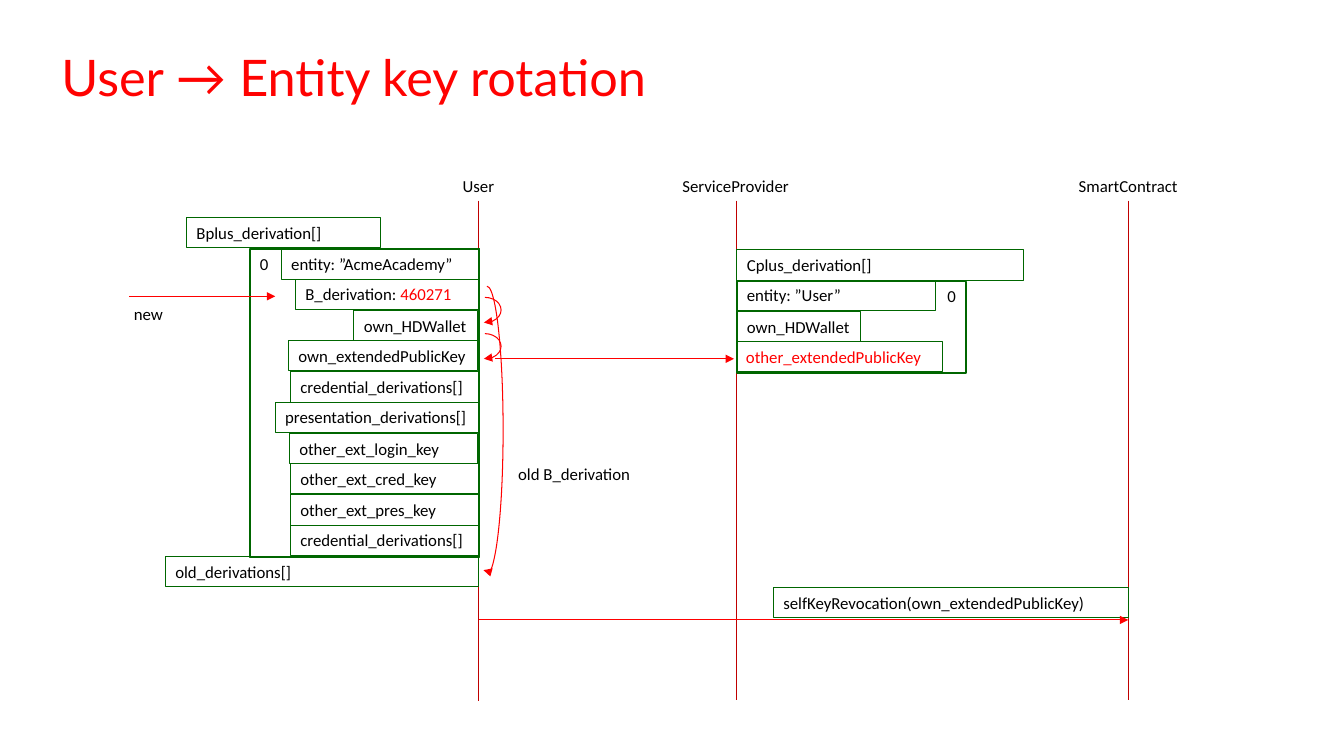
from dataclasses import dataclass

from pptx import Presentation
from pptx import util as u
from pptx.dml.color import RGBColor
from pptx.enum import shapes, text
from pptx.oxml.ns import qn
from lxml import etree


@dataclass(frozen=True)
class Theme:
    title: str = "FF0201"
    ink: str = "000000"
    accent: str = "FF0000"
    lifeline: str = "C00000"
    border: str = "006600"
    title_font: str = "Lato"
    body_font: str = "Calibri"
    title_size: int = 36
    body_size: int = 12
    thin: float = 0.75
    thick: float = 1


def apply(target, values):
    for name, value in values.items():
        setattr(target, name, value)


class Diagram:
    PX = 9144  # 100 px to the inch

    def __init__(self, presentation, theme):
        self.theme = theme
        apply(presentation, {"slide_width": self.emu(1333)[0],
                             "slide_height": self.emu(750)[0]})
        self.slide = presentation.slides.add_slide(presentation.slide_layouts[6])

    def emu(self, *lengths):
        return [u.Emu(length * self.PX) for length in lengths]

    def fill_text(self, shape, runs, wrap=True, grow=True, right=False,
                  font=None, size=None, margin=None):
        frame = shape.text_frame
        apply(frame, {
            "word_wrap": wrap,
            "vertical_anchor": text.MSO_ANCHOR.TOP,
            "auto_size": (text.MSO_AUTO_SIZE.SHAPE_TO_FIT_TEXT if grow
                          else text.MSO_AUTO_SIZE.NONE),
        })
        if margin is not None:
            apply(frame, {f"margin_{side}": margin
                          for side in ("left", "top", "right", "bottom")})
        paragraph = frame.paragraphs[0]
        paragraph.alignment = text.PP_ALIGN.RIGHT if right else text.PP_ALIGN.LEFT
        for words, color in runs:
            run = paragraph.add_run()
            run.text = words
            apply(run.font, {"name": font or self.theme.body_font,
                             "size": u.Pt(size or self.theme.body_size)})
            run.font.color.rgb = RGBColor.from_string(color)

    def stroke(self, shape, color, width, arrow=False):
        shape.line.color.rgb = RGBColor.from_string(color)
        shape.line.width = u.Pt(width)
        if arrow:
            etree.SubElement(shape.element.spPr.find(qn("a:ln")),
                             qn("a:tailEnd"), type="triangle")

    def outline(self, kind, left, top, width, height):
        shape = self.slide.shapes.add_shape(
            kind, *self.emu(left, top, width, height))
        shape.shadow.inherit = False
        shape.fill.background()
        return shape

    def title(self, words, left, top, width, height):
        shape = self.slide.shapes.add_textbox(*self.emu(left, top, width, height))
        self.fill_text(shape, [(words, self.theme.title)],
                       font=self.theme.title_font,
                       size=self.theme.title_size, margin=0)

    def label(self, words, left, top, width):
        shape = self.slide.shapes.add_textbox(*self.emu(left, top, width, 30))
        self.fill_text(shape, [(words, self.theme.ink)], wrap=False)

    def field(self, left, top, width, *runs):
        shape = self.outline(shapes.MSO_SHAPE.RECTANGLE, left, top, width, 30)
        self.stroke(shape, self.theme.border, self.theme.thin)
        self.fill_text(shape, runs)

    def record(self, index, left, top, width, height, right=False):
        shape = self.outline(shapes.MSO_SHAPE.RECTANGLE, left, top, width, height)
        self.stroke(shape, self.theme.border, self.theme.thick)
        self.fill_text(shape, [(index, self.theme.ink)], grow=False, right=right)

    def line(self, x1, y1, x2, y2, color, arrow=False):
        connector = self.slide.shapes.add_connector(
            shapes.MSO_CONNECTOR.STRAIGHT, *self.emu(x1, y1, x2, y2))
        self.stroke(connector, color, self.theme.thin, arrow)
        etree.SubElement(connector.element.spPr, qn("a:effectLst"))

    def arc(self, left, top, height, end):
        shape = self.outline(shapes.MSO_SHAPE.ARC, left, top, 32, height)
        shape.adjustments[0] = 162
        shape.adjustments[1] = end
        self.stroke(shape, self.theme.accent, self.theme.thin, arrow=True)


def row_top(start, row):
    return start + row * 61 // 2


def main():
    presentation = Presentation()
    theme = Theme()
    diagram = Diagram(presentation, theme)
    ink, red = theme.ink, theme.accent

    diagram.title("User → Entity key rotation", 61, 46, 834, 61)

    # Participants and their lifelines
    for name, left, width, x, bottom in (
            ("User", 449, 52, 475, 695),
            ("ServiceProvider", 667, 127, 730, 694),
            ("SmartContract", 1060, 119, 1119, 694)):
        diagram.label(name, left, 169, width)
        diagram.line(x, 199, x, bottom, theme.lifeline)

    # User record
    diagram.field(185, 216, 192, ("Bplus_derivation[]", ink))
    diagram.record("0", 248, 247, 227, 306)
    user_fields = (
        (279, 197, ("entity: ”AcmeAcademy”", ink)),
        (293, 182, ("B_derivation: ", ink), ("460271", red)),
        (351, 123, ("own_HDWallet", ink)),
        (286, 188, ("own_extendedPublicKey", ink)),
        (288, 188, ("credential_derivations[]", ink)),
        (273, 202, ("presentation_derivations[]", ink)),
        (287, 187, ("other_ext_login_key", ink)),
        (288, 187, ("other_ext_cred_key", ink)),
        (288, 187, ("other_ext_pres_key", ink)),
        (288, 188, ("credential_derivations[]", ink)),
        (164, 311, ("old_derivations[]", ink)),
    )
    for row, (left, width, *runs) in enumerate(user_fields):
        diagram.field(left, row_top(247, row), width, *runs)

    # Service provider record
    diagram.record("0", 731, 279, 227, 91, right=True)
    provider_fields = (
        (731, 284, ("Cplus_derivation[]", ink)),
        (731, 197, ("entity: ”User”", ink)),
        (731, 123, ("own_HDWallet", ink)),
        (730, 205, ("other_extendedPublicKey", red)),
    )
    for row, (left, width, *runs) in enumerate(provider_fields):
        diagram.field(left, row_top(248, row), width, *runs)

    # Smart contract call
    diagram.field(767, 583, 352, ("selfKeyRevocation(own_extendedPublicKey)", ink))

    # Messages and derivation steps
    for x1, y, x2 in ((128, 294, 273), (491, 356, 728), (475, 615, 1119)):
        diagram.line(x1, y, x2, y, red, arrow=True)
    for left, top, height, end in ((465, 295, 25, 56.823),
                                   (465, 331, 25, 56.823),
                                   (467, 284, 285, 54.864)):
        diagram.arc(left, top, height, end)
    diagram.label("new", 123, 296, 49)
    diagram.label("old B_derivation", 504, 455, 132)

    presentation.save("out.pptx")


if __name__ == "__main__":
    main()
